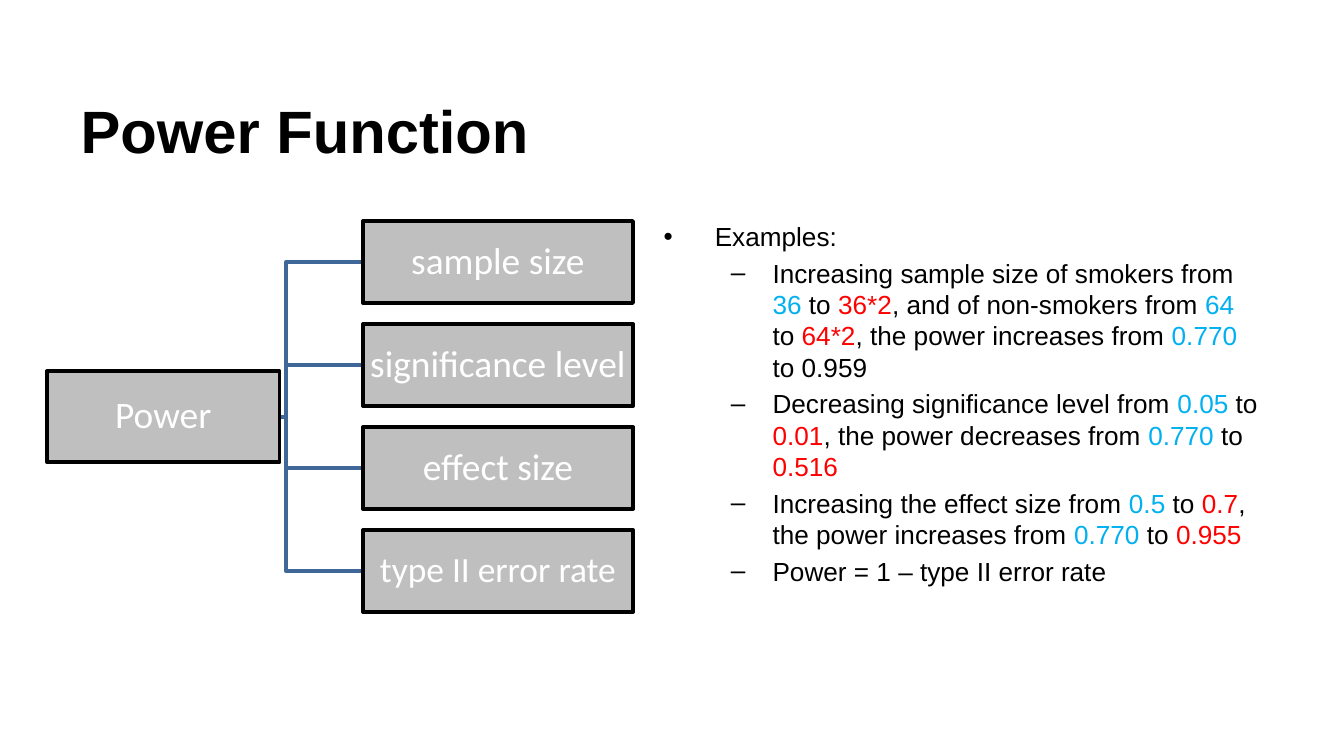
"""Build the Power Function slide: a factor tree beside worked examples."""
from lxml.etree import SubElement
from pptx import Presentation
from pptx.dml.color import RGBColor as Rgb
from pptx.enum.shapes import MSO_SHAPE as Shape
from pptx.enum.text import MSO_ANCHOR as Anchor, MSO_AUTO_SIZE as AutoSize, PP_ALIGN as Align
from pptx.oxml.ns import qn
from pptx.util import Inches, Pt

COLORS = {"text": "000000", "light": "FFFFFF", "node": "BFBFBF", "link": "3F6797",
          "before": "00B0F0", "after": "FF0000"}

FACTORS = [("sample size", 20), ("significance level", 20), ("effect size", 20),
           ("type II error rate", 19)]
ROOT = (0.35, 2.76, 1.73, 0.68)
FACTOR_LEFT, FACTOR_SPAN = 2.7, 2.3
FACTOR_SIZE = (2.01, 0.61)
LINK_START, LINK_BEND = (1.56, 3.1), 2.13

EXAMPLES = [
    (0, "•", [("Examples:", "text")]),
    (1, "–", [("Increasing sample size of smokers from ", "text"), ("36 ", "before"),
              ("to ", "text"), ("36*2", "after"), (", and of non-smokers from ", "text"),
              ("64", "before"), (" to ", "text"), ("64*2", "after"),
              (", the power increases from ", "text"), ("0.770", "before"),
              (" to 0.959", "text")]),
    (1, "–", [("Decreasing significance level from ", "text"), ("0.05", "before"),
              (" to ", "text"), ("0.01", "after"), (", the power decreases from ", "text"),
              ("0.770", "before"), (" to ", "text"), ("0.516", "after")]),
    (1, "–", [("Increasing the effect size from ", "text"), ("0.5", "before"),
              (" to ", "text"), ("0.7", "after"), (", the power increases from", "text"),
              (" 0.770 ", "before"), ("to ", "text"), ("0.955", "after")]),
    (1, "–", [("Power = 1 – type II error rate", "text")]),
]
INDENTS = [(0.38, -0.38), (0.81, -0.31)]


def assign(target, **values):
    """Set each given attribute on the target."""
    for name, value in values.items():
        setattr(target, name, value)


class SlideBuilder:
    """Holds the style and the current slide, and draws each kind of element."""

    def __init__(self, slide, colors):
        """Keep the slide and its colours."""
        self.slide = slide
        self.colors = colors

    def color(self, name):
        """Return a named colour."""
        return Rgb.from_string(self.colors[name])

    def span(self, para, text, size, color="text", font="Arial", bold=False):
        """Add one formatted run to a paragraph."""
        span = para.add_run()
        span.text = text
        assign(span.font, size=Pt(size), name=font, bold=bold)
        span.font.color.rgb = self.color(color)

    def outline(self, shape, color):
        """Give a shape a plain two-point line without shadow."""
        shape.shadow.inherit = False
        shape.line.color.rgb = self.color(color)
        shape.line.width = Pt(2)

    def title(self, text, left, top, width, height):
        """Place and format the title placeholder."""
        title = self.slide.shapes.title
        assign(title, left=Inches(left), top=Inches(top),
               width=Inches(width), height=Inches(height))
        assign(title.text_frame, vertical_anchor=Anchor.MIDDLE, auto_size=AutoSize.NONE)
        para = title.text_frame.paragraphs[0]
        para.alignment = Align.LEFT
        self.span(para, text, 32, bold=True)

    def link(self, start, bend, end):
        """Draw an open elbow line between two points."""
        points = [(bend, start[1]), (bend, end[1]), end]
        builder = self.slide.shapes.build_freeform(*map(Inches, start))
        builder.add_line_segments([tuple(map(Inches, point)) for point in points], close=False)
        line = builder.convert_to_shape()
        line.fill.background()
        self.outline(line, "link")

    def node(self, text, size, *place):
        """Draw a labelled box of the tree."""
        box = self.slide.shapes.add_shape(Shape.RECTANGLE, *map(Inches, place))
        box.fill.solid()
        box.fill.fore_color.rgb = self.color("node")
        self.outline(box, "text")
        margin = Inches(0.01)
        assign(box.text_frame, margin_left=margin, margin_right=margin, margin_top=margin,
               margin_bottom=margin, vertical_anchor=Anchor.MIDDLE, word_wrap=True)
        para = box.text_frame.paragraphs[0]
        assign(para, alignment=Align.CENTER, line_spacing=0.9)
        self.span(para, text, size, "light", "Calibri")

    def bullets(self, items, *place):
        """Write a two-level bulleted list."""
        frame = self.slide.shapes.add_textbox(*map(Inches, place)).text_frame
        frame.word_wrap = True
        for index, (level, mark, spans) in enumerate(items):
            para = frame.add_paragraph() if index else frame.paragraphs[0]
            assign(para, level=level, space_before=Pt(2.8), alignment=Align.LEFT)
            margin, indent = INDENTS[level]
            properties = para._p.get_or_add_pPr()
            properties.set("marL", str(Inches(margin)))
            properties.set("indent", str(Inches(indent)))
            SubElement(properties, qn("a:buFont"), typeface="Arial")
            SubElement(properties, qn("a:buChar"), char=mark)
            for text, color in spans:
                self.span(para, text, 14, color)


def main():
    """Build and save the deck."""
    deck = Presentation()
    assign(deck, slide_width=Inches(10), slide_height=Inches(10 * 9 / 16))
    page = SlideBuilder(deck.slides.add_slide(deck.slide_layouts[5]), COLORS)
    page.title("Power Function", 0.5, 0.74, 9, 0.45)
    step = FACTOR_SPAN / (len(FACTORS) - 1)
    first = LINK_START[1] - FACTOR_SPAN / 2
    middles = [first + step * row for row in range(len(FACTORS))]
    for middle in reversed(middles):
        page.link(LINK_START, LINK_BEND, (FACTOR_LEFT, middle))
    page.node("Power", 20, *ROOT)
    for (text, size), middle in zip(FACTORS, middles):
        page.node(text, size, FACTOR_LEFT, middle - FACTOR_SIZE[1] / 2, *FACTOR_SIZE)
    page.bullets(EXAMPLES, 4.84, 1.59, 4.64, 3.58)
    deck.save("out.pptx")


if __name__ == "__main__":
    main()
